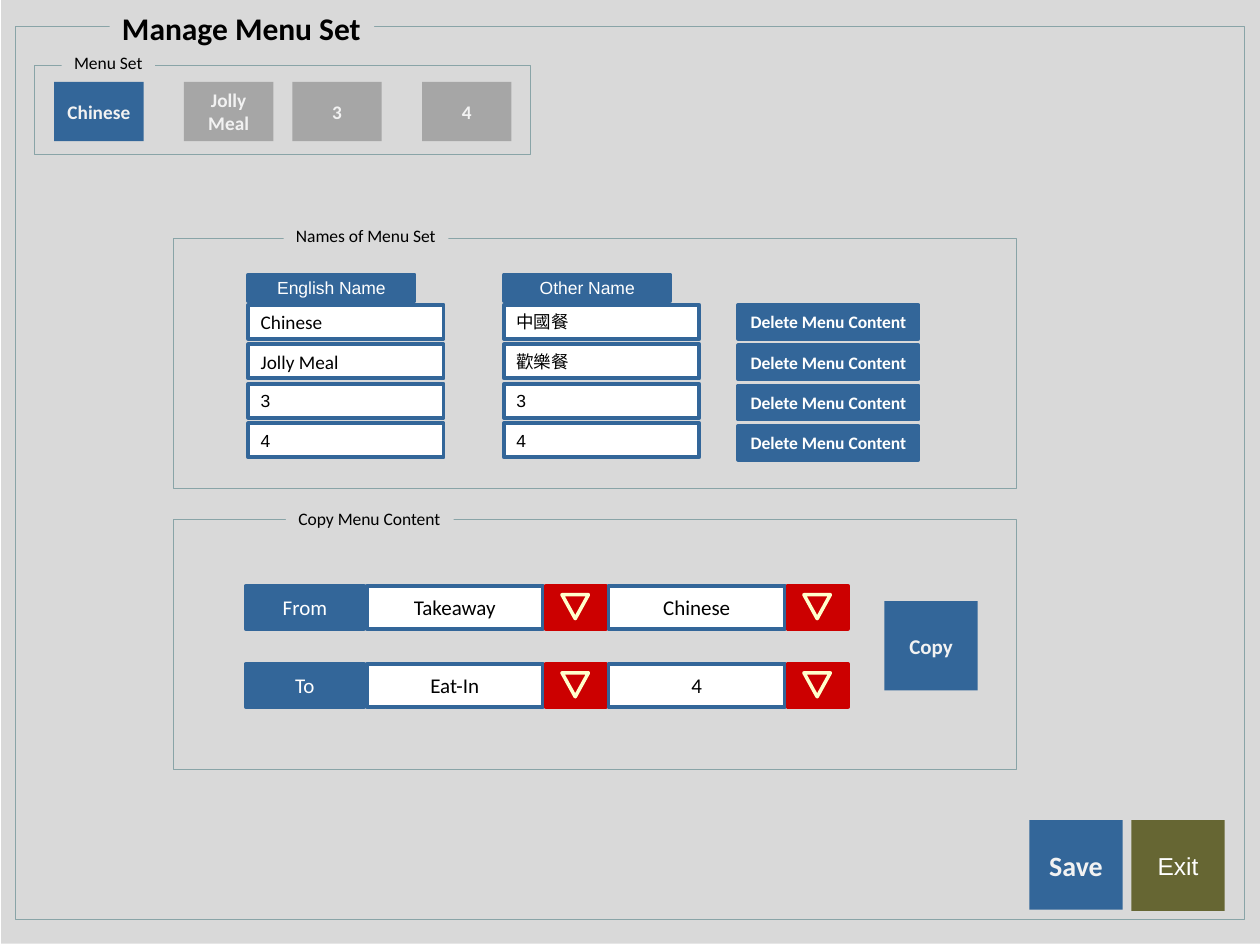
from pptx import Presentation
from pptx.dml.color import RGBColor
from pptx.enum.shapes import MSO_SHAPE
from pptx.enum.text import MSO_ANCHOR, MSO_AUTO_SIZE, PP_ALIGN
from pptx.util import Inches, Pt

RECT, TRI = MSO_SHAPE.RECTANGLE, MSO_SHAPE.ISOSCELES_TRIANGLE
TOP, MIDDLE = MSO_ANCHOR.TOP, MSO_ANCHOR.MIDDLE
LEFT, CENTER = PP_ALIGN.LEFT, PP_ALIGN.CENTER
FIT, FIXED = MSO_AUTO_SIZE.SHAPE_TO_FIT_TEXT, MSO_AUTO_SIZE.NONE

PANEL = RGBColor(0xD9, 0xD9, 0xD9)
EDGE = RGBColor(0x89, 0xA4, 0xA7)
BLUE = RGBColor(0x33, 0x66, 0x99)
GRAY = RGBColor(0xA6, 0xA6, 0xA6)
OLIVE = RGBColor(0x66, 0x66, 0x33)
RED = RGBColor(0xCC, 0x00, 0x00)
CREAM = RGBColor(0xFF, 0xFF, 0xCC)
PALE = RGBColor(0xF2, 0xF2, 0xF2)
WHITE = RGBColor(0xFF, 0xFF, 0xFF)
BLACK = RGBColor(0x00, 0x00, 0x00)

SANS, BODY = "Arial", "Calibri"


def add_box(shapes, at, fill=None, line=None, width=2.25, kind=RECT):
    box = shapes.add_shape(kind, *map(Inches, at))
    box.shadow.inherit = False
    if fill is None:
        box.fill.background()
    else:
        box.fill.solid()
        box.fill.fore_color.rgb = fill
    if line is None:
        box.line.fill.background()
    else:
        box.line.color.rgb = line
        box.line.width = Pt(width)
    return box


def add_text(box, text, size, color, face=BODY, bold=False,
             align=CENTER, anchor=MIDDLE, fit=FIXED):
    frame = box.text_frame
    frame.text = text
    layout = {"word_wrap": False, "auto_size": fit, "vertical_anchor": anchor}
    for name, value in layout.items():
        setattr(frame, name, value)
    style = {"size": Pt(size), "name": face, "bold": bold}
    for para in frame.paragraphs:
        para.alignment = align
        for name, value in style.items():
            setattr(para.font, name, value)
        para.font.color.rgb = color


def add_panel(shapes, at, title, spot, size=10, bold=False):
    add_box(shapes, at, line=EDGE, width=0.5)
    label = add_box(shapes, spot, PANEL)
    add_text(label, title, size, BLACK, bold=bold, align=LEFT, anchor=TOP, fit=FIT)


def add_button(shapes, at, text, size, fill=BLUE, color=PALE, face=BODY, bold=True):
    add_text(add_box(shapes, at, fill), text, size, color, face, bold)


def add_cell(shapes, at, text, size, fill=WHITE, color=BLACK, face=BODY,
             align=CENTER, bold=False):
    box = add_box(shapes, at, fill, BLUE)
    add_text(box, text, size, color, face, bold, align)


def add_drop(shapes, left, top):
    group = shapes.add_group_shape().shapes
    add_box(group, (left, top, 0.48, 0.34), RED, RED)
    arrow = add_box(group, (left + 0.13, top + 0.07, 0.21, 0.19), RED, CREAM, 2, TRI)
    arrow.rotation = 180


def add_sets(shapes):
    add_panel(shapes, (0.27, 0.52, 3.94, 0.71), "Menu Set", (0.49, 0.36, 0.74, 0.27))
    tabs = [(0.43, "Chinese", BLUE), (1.46, "Jolly\nMeal", GRAY),
            (2.32, "3", GRAY), (3.35, "4", GRAY)]
    for left, text, fill in tabs:
        add_button(shapes, (left, 0.65, 0.71, 0.47), text, 11, fill)


def add_names(shapes):
    add_panel(shapes, (1.38, 1.89, 6.69, 1.99), "Names of Menu Set",
              (2.25, 1.74, 1.31, 0.27))
    top, step = 2.42, 0.94 / 3
    for left, head in ((1.97, "English Name"), (4, "Other Name")):
        add_cell(shapes, (left, 2.18, 1.32, 0.21), head, 10, BLUE, WHITE, SANS)
    rows = [("Chinese", "中國餐"), ("Jolly Meal", "歡樂餐"), ("3", "3"), ("4", "4")]
    for i, (name, other) in enumerate(rows):
        y = top + i * step
        face, size = (SANS, 10) if name.isdigit() else (BODY, 11)
        add_cell(shapes, (1.97, y, 1.55, 0.27), name, size, face=face, align=LEFT)
        add_cell(shapes, (4, y, 1.55, 0.27), other, 10, face=SANS, align=LEFT)
        add_cell(shapes, (5.86, top + i * 0.32, 1.43, 0.27), "Delete Menu Content",
                 10, BLUE, WHITE, bold=True)


def add_copy(shapes):
    add_panel(shapes, (1.38, 4.12, 6.69, 1.99), "Copy Menu Content",
              (2.27, 3.98, 1.33, 0.27))
    rows = [(4.65, "From", "Takeaway", "Chinese"), (5.27, "To", "Eat-In", "4")]
    for top, label, place, menu in rows:
        add_cell(shapes, (1.95, top, 0.94, 0.34), label, 12, BLUE, WHITE)
        for left, text in ((2.91, place), (4.83, menu)):
            add_cell(shapes, (left, top, 1.4, 0.34), text, 12)
            add_drop(shapes, left + 1.42, top)
    add_button(shapes, (7.02, 4.77, 0.74, 0.71), "Copy", 12)


def main():
    """Build the menu set screen and save it."""
    deck = Presentation()
    deck.slide_width, deck.slide_height = Inches(10), Inches(7.5)
    shapes = deck.slides.add_slide(deck.slide_layouts[6]).shapes
    add_box(shapes, (0.01, -0.01, 10, 7.5), PANEL)
    add_panel(shapes, (0.12, 0.21, 9.76, 7.09), "Manage Menu Set",
              (0.87, 0.02, 2.1, 0.4), 18, True)
    add_sets(shapes)
    add_names(shapes)
    add_copy(shapes)
    add_button(shapes, (8.17, 6.51, 0.74, 0.71), "Save", 16)
    add_button(shapes, (8.98, 6.51, 0.74, 0.72), "Exit", 14, OLIVE, WHITE, SANS, False)
    deck.save("out.pptx")


if __name__ == "__main__":
    main()
